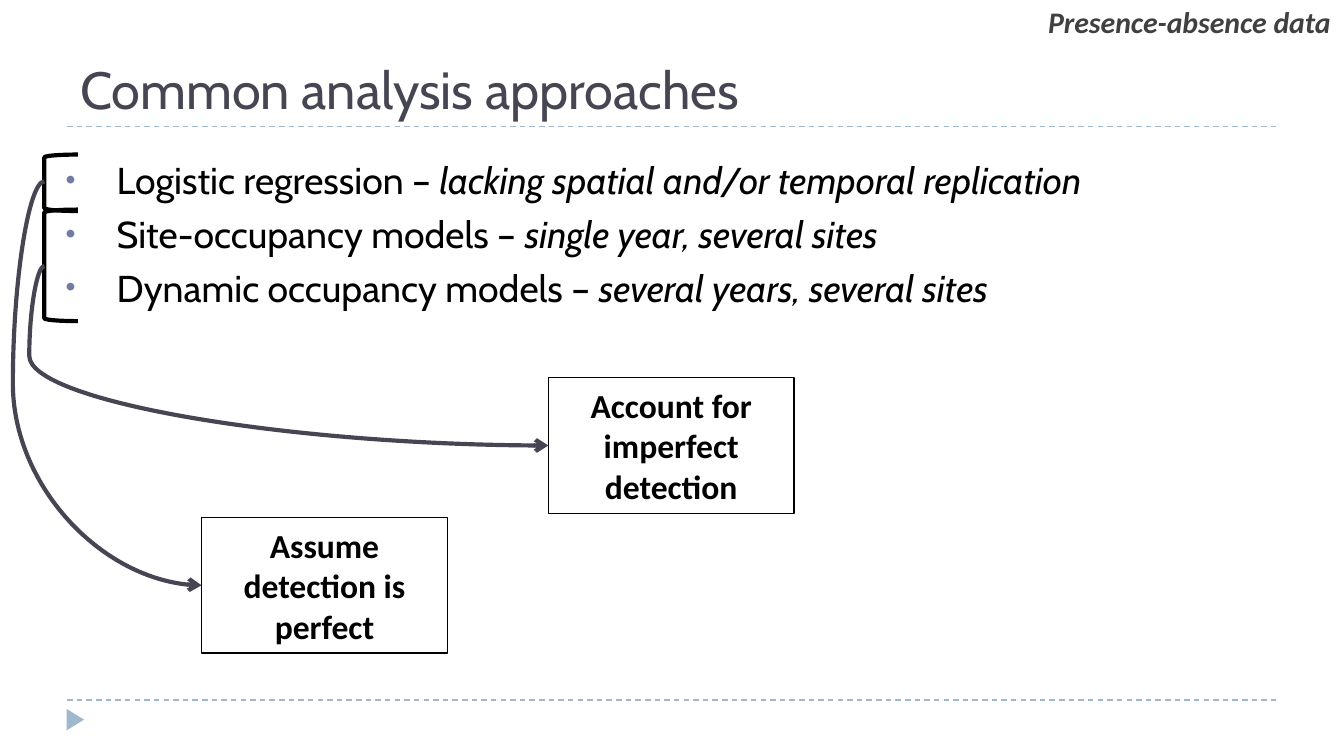
from lxml import etree
from pptx import Presentation
from pptx.dml.color import RGBColor
from pptx.enum.dml import MSO_LINE
from pptx.enum.shapes import MSO_CONNECTOR, MSO_SHAPE
from pptx.enum.text import MSO_ANCHOR, PP_ALIGN
from pptx.oxml.ns import qn
from pptx.util import Inches, Pt

STRAIGHT, CURVE = MSO_CONNECTOR.STRAIGHT, MSO_CONNECTOR.CURVE
RECTANGLE, BRACKET = MSO_SHAPE.RECTANGLE, MSO_SHAPE.RIGHT_BRACKET
TRIANGLE = MSO_SHAPE.ISOSCELES_TRIANGLE
DASH = MSO_LINE.DASH
TOP, MIDDLE = MSO_ANCHOR.TOP, MSO_ANCHOR.MIDDLE
LEFT, CENTER, RIGHT = PP_ALIGN.LEFT, PP_ALIGN.CENTER, PP_ALIGN.RIGHT

BLACK, SLATE, PALE_BLUE, BULLET = "000000", "464653", "9FB8CD", "727CA3"

# Content
TITLE = "Common analysis approaches"
TOPIC = "Presence-absence data"
APPROACHES = [
    ("Logistic regression – ", "lacking spatial and/or temporal replication"),
    ("Site-occupancy models – ", "single year, several sites"),
    ("Dynamic occupancy models – ", "several years, several sites"),
]
BOX_SIZE = (1.83, 1.01)
BRACKET_LEFT, BRACKET_WIDTH = 0.33, 0.25
# Each group: note, box corner, bracket top and height, arrow start, curve bend
GROUPS = [
    ("Assume detection is perfect", (1.5, 3.85), (1.15, 0.42), 1.35, -0.2),
    ("Account for imperfect detection", (4.08, 2.81), (1.56, 0.83), 1.98, -0.03),
]
RULES = [5.21, 0.94]

TITLE_FONT = {"name": "Cabin", "size": Pt(28), "color": SLATE}
BODY_FONT = {"name": "Cabin", "size": Pt(20), "color": BLACK}
TOPIC_FONT = {"name": "Calibri", "size": Pt(16), "color": "404040",
              "bold": True, "italic": True}
NOTE_FONT = {"name": "Calibri", "size": Pt(18), "color": BLACK, "bold": True}


def paint(target, color):
    target.rgb = RGBColor.from_string(color)


def add_span(para, text, font, **changes):
    span = para.add_run()
    span.text = text
    for key, value in {**font, **changes}.items():
        if key == "color":
            paint(span.font.color, value)
        else:
            setattr(span.font, key, value)


def add_text(page, area, anchor=TOP):
    frame = page.shapes.add_textbox(*map(Inches, area)).text_frame
    frame.word_wrap = True
    frame.vertical_anchor = anchor
    return frame


def add_shape(page, kind, area, fill=None, line=None, width=0.75):
    shape = page.shapes.add_shape(kind, *map(Inches, area))
    shape.shadow.inherit = False
    if fill:
        shape.fill.solid()
        paint(shape.fill.fore_color, fill)
    else:
        shape.fill.background()
    if line:
        paint(shape.line.color, line)
        shape.line.width = Pt(width)
    else:
        shape.line.fill.background()
    return shape


def add_line(page, kind, start, end, color, width):
    line = page.shapes.add_connector(kind, *map(Inches, start + end))
    paint(line.line.color, color)
    line.line.width = Pt(width)
    etree.SubElement(line._element.spPr, qn("a:effectLst"))
    return line


def add_bullet(para):
    props = para._p.get_or_add_pPr()
    props.set("marL", str(Inches(0.44)))
    props.set("indent", str(Inches(-0.38)))
    color = etree.SubElement(props, qn("a:buClr"))
    etree.SubElement(color, qn("a:srgbClr"), val=BULLET)
    etree.SubElement(props, qn("a:buSzPct"), val="76000")
    etree.SubElement(props, qn("a:buFont"), typeface="Arial")
    etree.SubElement(props, qn("a:buChar"), char="•")


def add_curved_arrow(page, start, end, bend):
    arrow = add_line(page, CURVE, start, end, SLATE, 2.25)
    etree.SubElement(arrow.line._get_or_add_ln(), qn("a:tailEnd"), type="arrow")
    guides = arrow._element.spPr.find(qn("a:prstGeom")).find(qn("a:avLst"))
    etree.SubElement(guides, qn("a:gd"), name="adj1",
                     fmla=f"val {round(bend * 100000)}")


def main():
    deck = Presentation()
    deck.slide_width = Inches(10)
    deck.slide_height = deck.slide_width * 9 // 16
    page = deck.slides.add_slide(deck.slide_layouts[6])

    # Dashed rules and corner marker
    for y in RULES:
        rule = add_line(page, STRAIGHT, (0.5, y), (9.5, y), PALE_BLUE, 0.75)
        rule.line.dash_style = DASH
    add_shape(page, TRIANGLE, (0.48, 5.29, 0.16, 0.13), fill=PALE_BLUE).rotation = 90

    # Title, bulleted approaches and topic
    title = add_text(page, (0.5, 0.19, 9, 0.94), MIDDLE)
    add_span(title.paragraphs[0], TITLE, TITLE_FONT)

    body = add_text(page, (0.33, 1.12, 9.33, 3.71))
    for index, (method, use) in enumerate(APPROACHES):
        para = body.add_paragraph() if index else body.paragraphs[0]
        para.alignment = LEFT
        para.space_before = Pt(4.8)
        add_bullet(para)
        add_span(para, method, BODY_FONT)
        add_span(para, use, BODY_FONT, italic=True)

    topic = add_text(page, (6.69, -0.02, 3.31, 0.37)).paragraphs[0]
    topic.alignment = RIGHT
    add_span(topic, TOPIC, TOPIC_FONT)

    # Each bracket leads to its boxed note
    for note, corner, (top, height), start_y, bend in GROUPS:
        box = add_shape(page, RECTANGLE, corner + BOX_SIZE, line=BLACK)
        box.text_frame.word_wrap = True
        para = box.text_frame.paragraphs[0]
        para.alignment = CENTER
        add_span(para, note, NOTE_FONT)
        bracket = add_shape(page, BRACKET, (BRACKET_LEFT, top, BRACKET_WIDTH, height),
                            line=BLACK, width=2.25)
        bracket._element.spPr.find(qn("a:xfrm")).set("flipH", "1")
        end = (corner[0], corner[1] + BOX_SIZE[1] / 2)
        add_curved_arrow(page, (BRACKET_LEFT, start_y), end, bend)

    deck.save("out.pptx")


if __name__ == "__main__":
    main()
